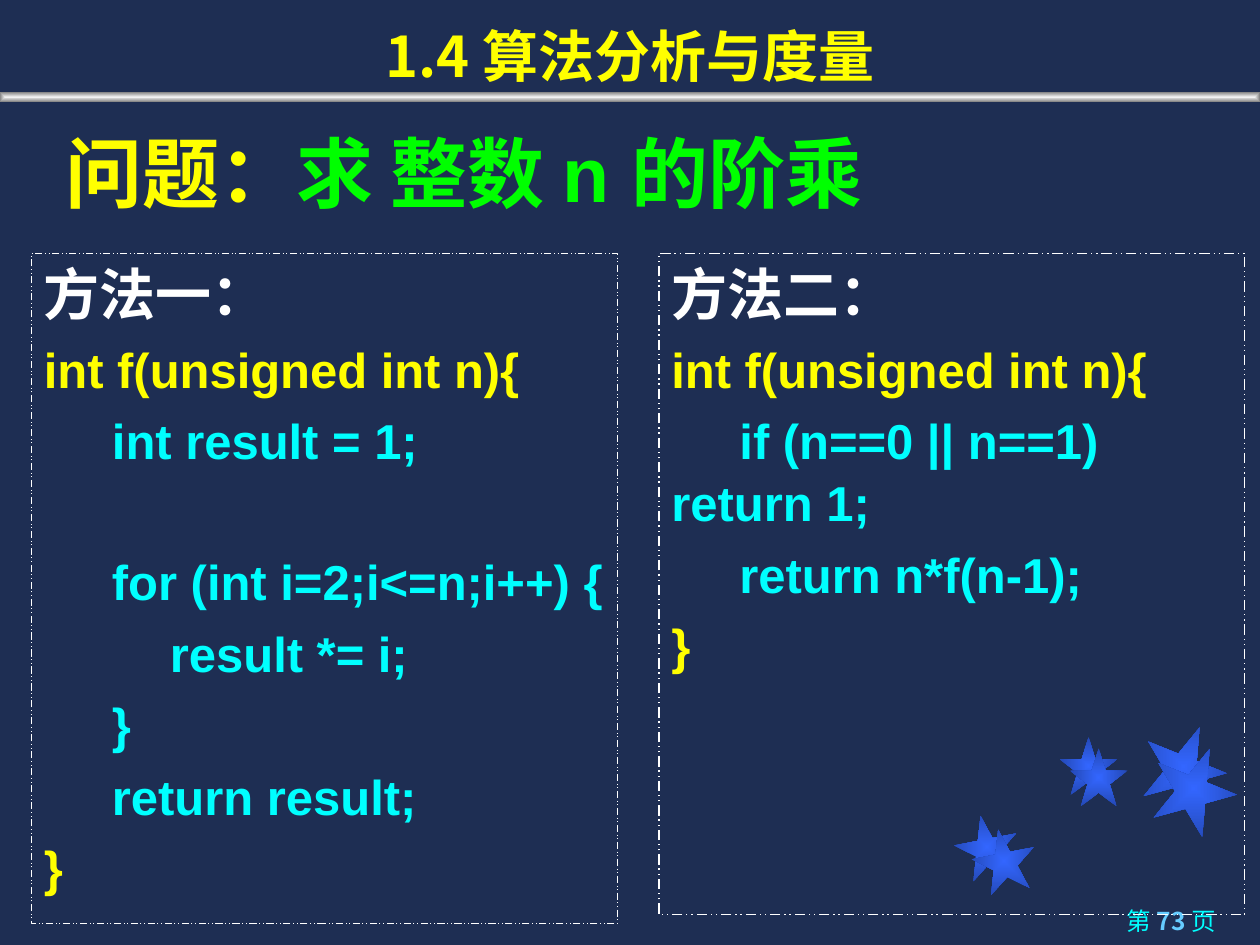
"""Build the slide comparing two factorial methods."""
from lxml import etree
from pptx import Presentation
from pptx.dml.color import RGBColor
from pptx.enum.dml import MSO_LINE
from pptx.enum.shapes import MSO_SHAPE
from pptx.enum.text import MSO_ANCHOR, PP_ALIGN
from pptx.oxml import parse_xml
from pptx.oxml.ns import nsdecls, qn
from pptx.util import Inches, Pt

STAR, RECT = MSO_SHAPE.STAR_5_POINT, MSO_SHAPE.RECTANGLE
DASH = MSO_LINE.DASH_DOT_DOT
BOTTOM, TOP = MSO_ANCHOR.BOTTOM, MSO_ANCHOR.TOP
LEFT, CENTER, RIGHT = PP_ALIGN.LEFT, PP_ALIGN.CENTER, PP_ALIGN.RIGHT
CJK, LATIN = "Noto Sans CJK SC", "Arial"
YELLOW, CYAN, WHITE, GREEN = "FFFF00", "00FFFF", "FFFFFF", "00FF00"

rgb = RGBColor.from_string


def add_gradient_shape(kind, x, y, w, h, inner, outer, angle=0):
    sp = s.shapes.add_shape(kind, Inches(x), Inches(y), Inches(w), Inches(h))
    sp.rotation = angle
    sp.shadow.inherit = False
    sp.line.fill.background()
    sp.fill.gradient()
    for stop, color in zip(sp.fill.gradient_stops, (inner, outer)):
        stop.color.rgb = rgb(color)
    lin = sp._element.spPr.find(qn("a:gradFill")).find(qn("a:lin"))
    lin.getparent().replace(lin, parse_xml(
        f'<a:path {nsdecls("a")} path="shape">'
        '<a:fillToRect l="50000" t="50000" r="50000" b="50000"/></a:path>'))


def add_line(p, runs, size, font, align=LEFT):
    p.alignment = align
    p.font.size = Pt(size)
    for text, color, bold in runs:
        r = p.add_run()
        r.text = text
        r.font.size = Pt(size)
        r.font.name = font
        r.font.bold = bold
        r.font.color.rgb = rgb(color)
        etree.SubElement(r._r.get_or_add_rPr(), qn("a:ea")).set("typeface", CJK)


prs = Presentation()
prs.slide_width, prs.slide_height = Inches(10), Inches(7.5)
s = prs.slides.add_slide(prs.slide_layouts[6])
s.background.fill.solid()
s.background.fill.fore_color.rgb = rgb("1E2E53")

stars = [
    (7.58, 6.47, 0.5, 349), (8.41, 5.85, 0.46, 0), (9.06, 5.75, 0.67, 22),
    (7.72, 6.58, 0.5, 349), (8.49, 5.94, 0.46, 0), (9.14, 5.92, 0.67, 22),
]
for x, y, size, angle in stars:
    add_gradient_shape(STAR, x, y, size, size, "3366FF", "2449B6", angle)
add_gradient_shape(RECT, 0, 0.73, 10, 0.08, "F2F2F2", "808080")

labels = [
    (0, 0, 10, 0.75, BOTTOM, CENTER, 32, CJK,
     [("1.4 算法分析与度量", YELLOW, True)]),
    (0.42, 0.95, 9.06, 1.43, TOP, LEFT, 44, LATIN,
     [("问题：", YELLOW, True), ("求 整数 n 的阶乘", GREEN, True)]),
    (7.12, 7.14, 2.63, 0.36, TOP, RIGHT, 14, CJK,
     [("第 ", CYAN, False), ("73 ", "66CCFF", True), ("页", CYAN, False)]),
]
for x, y, w, h, anchor, align, size, font, runs in labels:
    tf = s.shapes.add_textbox(Inches(x), Inches(y), Inches(w), Inches(h)).text_frame
    tf.word_wrap = True
    tf.vertical_anchor = anchor
    add_line(tf.paragraphs[0], runs, size, font, align)

methods = [
    (0.25, 5.32, 0.5, "方法一：", [
        ("int f(unsigned int n){", 0, 5.6),
        ("int result = 1;", 0.54, 5.6),
        ("for (int i=2;i<=n;i++) {", 0.54, 45),
        ("result *= i;", 1, 5.6),
        ("}", 0.54, 5.6),
        ("return result;", 0.54, 5.6),
        ("}", 0, 5.6)]),
    (5.23, 5.25, 0.75, "方法二：", [
        ("int f(unsigned int n){", 0, 5.6),
        ("if (n==0 || n==1)\vreturn 1;", 0.54, 5.6),
        ("return n*f(n-1);", 0.54, 5.6),
        ("}", 0, 5.6)]),
]
for x, h, weight, heading, code in methods:
    sp = s.shapes.add_shape(RECT, Inches(x), Inches(2.01), Inches(4.65), Inches(h))
    sp.shadow.inherit = False
    sp.fill.background()
    sp.line.color.rgb = rgb(WHITE)
    sp.line.width = Pt(weight)
    sp.line.dash_style = DASH
    tf = sp.text_frame
    tf.word_wrap = True
    tf.vertical_anchor = TOP
    add_line(tf.paragraphs[0], [(heading, WHITE, True)], 32, LATIN)
    for text, indent, before in code:
        p = tf.add_paragraph()
        p.line_spacing = 1.05
        p.space_before = Pt(before)
        p._p.get_or_add_pPr().set("indent", str(Inches(indent)))
        color = CYAN if indent else YELLOW
        for i, part in enumerate(text.split("\v")):
            if i:
                p.add_line_break()
            add_line(p, [(part, color, True)], 28, LATIN)

prs.save("out.pptx")
